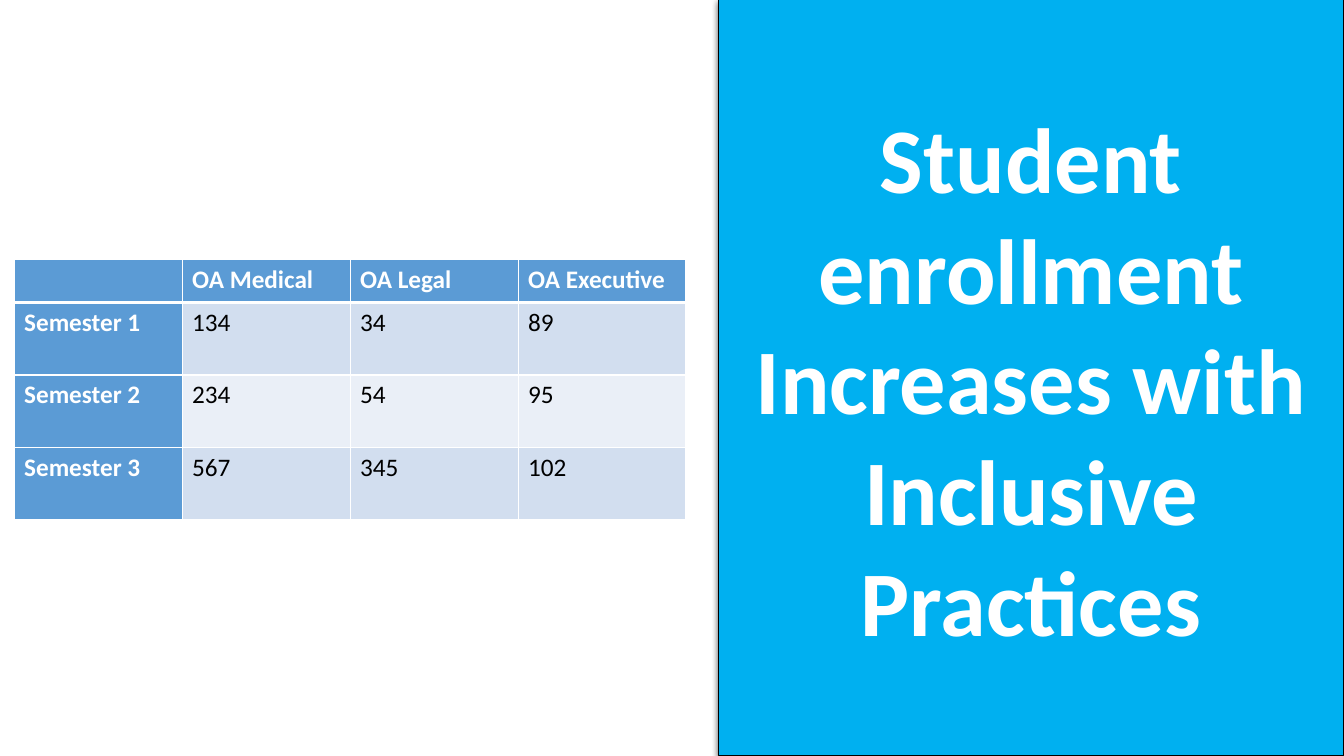
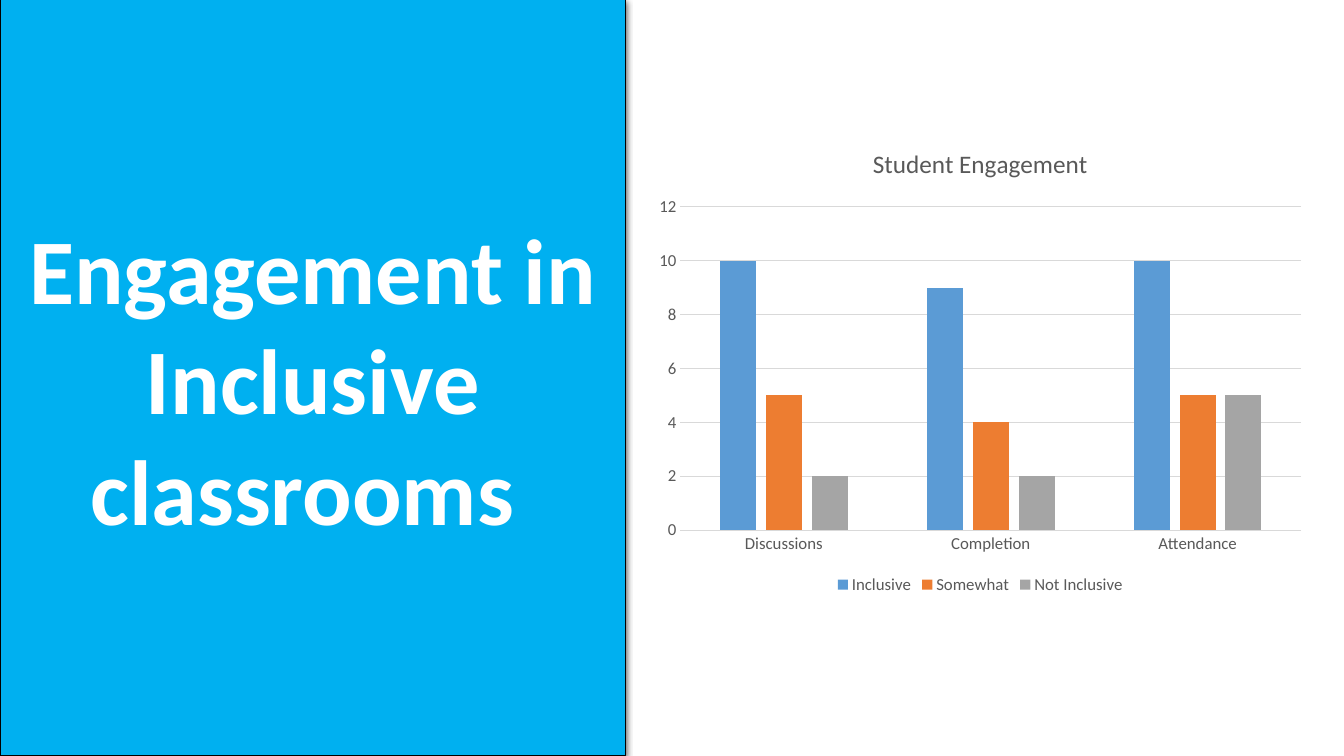
from dataclasses import dataclass

from pptx import Presentation
from pptx.chart.data import CategoryChartData
from pptx.dml.color import RGBColor
from pptx.enum.chart import XL_CHART_TYPE, XL_LEGEND_POSITION, XL_TICK_MARK
from pptx.enum.shapes import MSO_SHAPE
from pptx.enum.text import MSO_ANCHOR, PP_ALIGN
from pptx.oxml import parse_xml
from pptx.oxml.ns import nsdecls
from pptx.util import Inches, Pt

COLUMNS, ROWS = 80, 45
UNIT = Inches(13.333) // COLUMNS + 1


@dataclass(frozen=True)
class Theme:
    font: str = "Calibri"
    panel: str = "00B0F0"
    white: str = "FFFFFF"
    black: str = "000000"
    header: str = "5B9BD5"
    bands: tuple = ("D2DEEF", "EAEFF7")
    series: tuple = ("5B9BD5", "ED7D31", "A5A5A5")
    chart_text: str = "595959"
    grid: str = "D9D9D9"
    title_size: int = 66
    body_size: int = 18
    label_size: int = 12
    thin_line: float = 0.75
    cell_line: int = 1
    header_line: int = 3
    panel_columns: float = 37.26


def grid(*lengths):
    return [round(length * UNIT) for length in lengths]


def color(value):
    return RGBColor.from_string(value)


class Deck:
    def __init__(self, theme):
        self.theme = theme
        self.presentation = Presentation()
        self.presentation.slide_width = UNIT * COLUMNS
        self.presentation.slide_height = UNIT * ROWS
        self.slide = None

    def new_slide(self):
        self.slide = self.presentation.slides.add_slide(
            self.presentation.slide_layouts[6])

    def style_font(self, font, size, value, bold=False):
        font.name = self.theme.font
        font.size = Pt(size)
        font.bold = bold
        font.color.rgb = color(value)

    def add_run(self, paragraph, text, size, value, bold=False):
        run = paragraph.add_run()
        run.text = text
        self.style_font(run.font, size, value, bold)

    def style_line(self, line, value):
        line.color.rgb = color(value)
        line.width = Pt(self.theme.thin_line)

    def title_panel(self, text, left):
        theme = self.theme
        shape = self.slide.shapes.add_shape(
            MSO_SHAPE.RECTANGLE, *grid(left, 0, theme.panel_columns, ROWS))
        shape.fill.solid()
        shape.fill.fore_color.rgb = color(theme.panel)
        self.style_line(shape.line, theme.black)
        self.add_shadow(shape)
        frame = shape.text_frame
        frame.word_wrap = True
        frame.vertical_anchor = MSO_ANCHOR.MIDDLE
        paragraph = frame.paragraphs[0]
        paragraph.alignment = PP_ALIGN.CENTER
        self.add_run(paragraph, text, theme.title_size, theme.white, True)

    def add_shadow(self, shape):
        shape.shadow.inherit = False
        effects = shape._element.spPr.find(
            "{http://schemas.openxmlformats.org/drawingml/2006/main}effectLst")
        effects.append(parse_xml(
            f'<a:outerShdw {nsdecls("a")} blurRad="{Pt(4.5)}" dist="{Pt(1.5)}" '
            f'dir="5400000" algn="ctr" rotWithShape="0">'
            f'<a:srgbClr val="{self.theme.black}"><a:alpha val="63000"/>'
            f'</a:srgbClr></a:outerShdw>'))

    def cell_borders(self, cell, top, bottom):
        thin = self.theme.cell_line
        properties = cell._tc.get_or_add_tcPr()
        for side, width in (("L", thin), ("R", thin), ("T", top), ("B", bottom)):
            properties.append(parse_xml(
                f'<a:ln{side} {nsdecls("a")} w="{Pt(width)}"><a:solidFill>'
                f'<a:srgbClr val="{self.theme.white}"/></a:solidFill></a:ln{side}>'))

    def table(self, records, left, top, column_width, row_heights):
        theme = self.theme
        column_count = len(records[0])
        table = self.slide.shapes.add_table(
            len(records), column_count,
            *grid(left, top, column_width * column_count, sum(row_heights))).table
        for column in table.columns:
            column.width = grid(column_width)[0]
        for row, height in zip(table.rows, row_heights):
            row.height = grid(height)[0]
        for row_index, record in enumerate(records):
            for column_index, text in enumerate(record):
                cell = table.cell(row_index, column_index)
                heading = row_index == 0 or column_index == 0
                self.cell_borders(
                    cell,
                    theme.header_line if row_index == 1 else theme.cell_line,
                    theme.header_line if row_index == 0 else theme.cell_line)
                cell.fill.solid()
                cell.fill.fore_color.rgb = color(
                    theme.header if heading else theme.bands[(row_index - 1) % 2])
                if text:
                    self.add_run(cell.text_frame.paragraphs[0], text, theme.body_size,
                                 theme.white if heading else theme.black, heading)

    def column_chart(self, title, categories, series, left, top, width, height):
        theme = self.theme
        data = CategoryChartData()
        data.categories = categories
        for name, values in series.items():
            data.add_series(name, values)
        chart = self.slide.shapes.add_chart(
            XL_CHART_TYPE.COLUMN_CLUSTERED, *grid(left, top, width, height), data).chart
        self.style_font(chart.font, theme.label_size, theme.chart_text)
        chart.has_title = True
        self.add_run(chart.chart_title.text_frame.paragraphs[0], title,
                     theme.body_size, theme.chart_text)
        chart.chart_title.include_in_layout = False
        chart.has_legend = True
        chart.legend.position = XL_LEGEND_POSITION.BOTTOM
        chart.legend.include_in_layout = False
        for axis in (chart.category_axis, chart.value_axis):
            axis.major_tick_mark = XL_TICK_MARK.NONE
            axis.minor_tick_mark = XL_TICK_MARK.NONE
            self.style_font(axis.tick_labels.font, theme.label_size, theme.chart_text)
        self.style_line(chart.category_axis.format.line, theme.grid)
        chart.value_axis.format.line.fill.background()
        self.style_line(chart.value_axis.major_gridlines.format.line, theme.grid)
        plot = chart.plots[0]
        plot.gap_width = 219
        plot.overlap = -27
        plot.vary_by_categories = False
        for item, value in zip(plot.series, theme.series):
            item.format.fill.solid()
            item.format.fill.fore_color.rgb = color(value)


def main():
    theme = Theme()
    deck = Deck(theme)

    deck.new_slide()
    deck.title_panel("Student enrollment Increases with Inclusive Practices",
                     COLUMNS - theme.panel_columns)
    deck.table(
        [("", "OA Medical", "OA Legal", "OA Executive"),
         ("Semester 1", "134", "34", "89"),
         ("Semester 2", "234", "54", "95"),
         ("Semester 3", "567", "345", "102")],
        left=0.84, top=15.42, column_width=10, row_heights=[2.58] + [4.32] * 3)

    deck.new_slide()
    deck.title_panel("Engagement in Inclusive classrooms ", 0)
    deck.column_chart(
        "Student Engagement",
        ("Discussions", "Completion", "Attendance"),
        {"Inclusive": (10, 9, 10), "Somewhat": (5, 4, 5), "Not Inclusive": (2, 2, 5)},
        left=38.46, top=7.56, width=39.78, height=28.08)

    deck.presentation.save("out.pptx")


if __name__ == "__main__":
    main()
